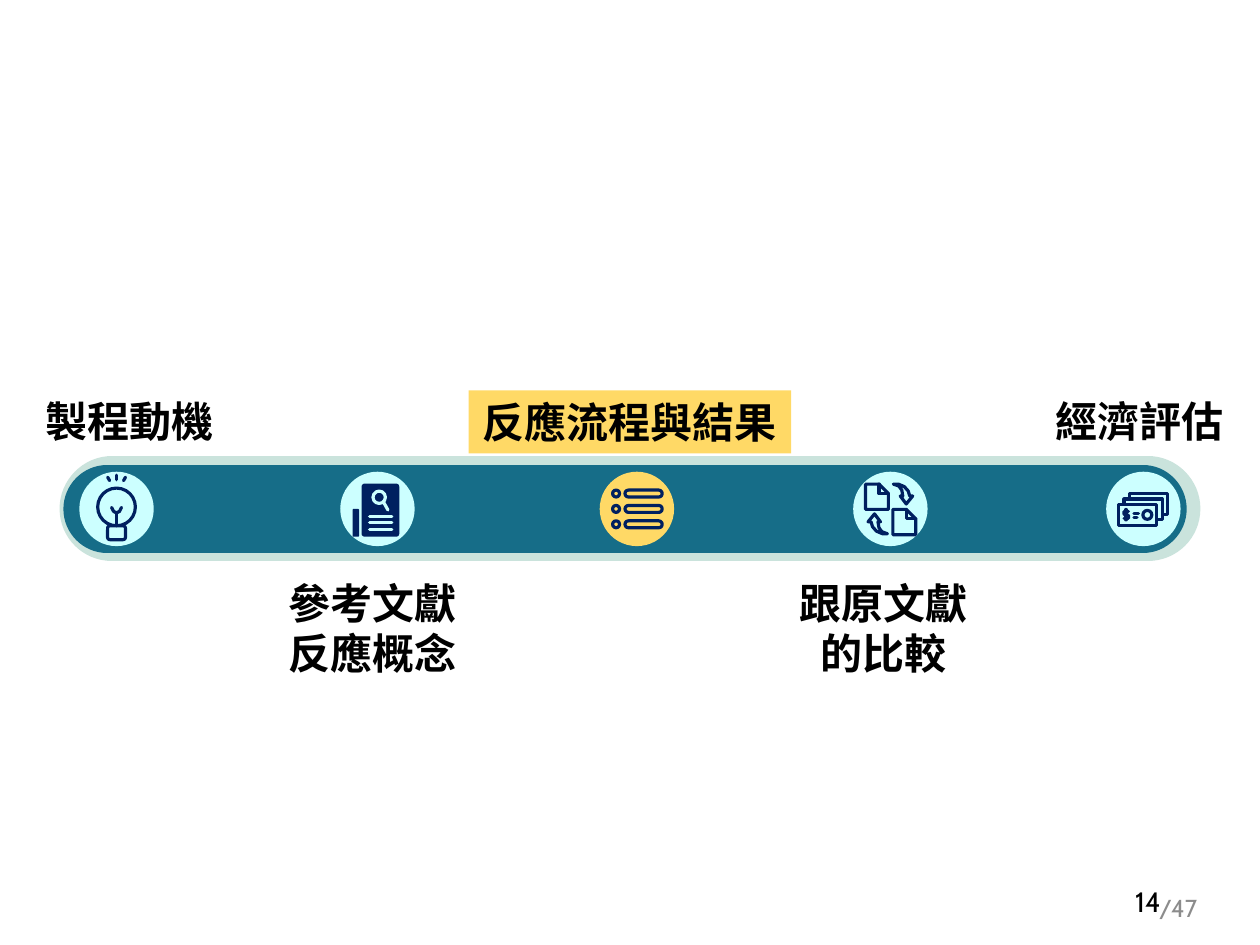
from pptx import Presentation
from pptx.dml.color import RGBColor
from pptx.enum.shapes import MSO_CONNECTOR as CONN, MSO_SHAPE as SHAPE
from pptx.enum.text import MSO_ANCHOR as ANCHOR, PP_ALIGN as ALIGN
from pptx.oxml.ns import qn
from pptx.oxml.xmlchemy import OxmlElement
from pptx.util import Cm, Pt

NAVY = RGBColor(0x00, 0x20, 0x60)
TEAL = RGBColor(0x16, 0x6D, 0x88)
MINT = RGBColor(0xCA, 0xE3, 0xDC)
ICE = RGBColor(0xCC, 0xFF, 0xFF)
YELLOW = RGBColor(0xFF, 0xD9, 0x66)
BLACK = RGBColor(0x00, 0x00, 0x00)
GREY = RGBColor(0x8C, 0x8C, 0x8C)

FONT = "Cabin"
AXIS_Y = 10.26
DISC = 1.5
STROKE = 1.8


def set_line(sp, color, width):
    """Give a shape or connector a line with round ends."""
    sp.line.color.rgb = color
    sp.line.width = Pt(width)
    sp._element.spPr.find(qn("a:ln")).set("cap", "rnd")


def paint(sp, fill, line, width=STROKE):
    sp.shadow.inherit = False
    if fill is None:
        sp.fill.background()
    else:
        sp.fill.solid()
        sp.fill.fore_color.rgb = fill
    if line is None:
        sp.line.fill.background()
    else:
        set_line(sp, line, width)


def add_shape(s, kind, x, y, w, h, fill=None, line=None):
    sp = s.shapes.add_shape(kind, Cm(x), Cm(y), Cm(w), Cm(h))
    paint(sp, fill, line)
    return sp


def add_line(s, x1, y1, x2, y2, color=NAVY, width=STROKE):
    c = s.shapes.add_connector(CONN.STRAIGHT, Cm(x1), Cm(y1), Cm(x2), Cm(y2))
    set_line(c, color, width)
    c._element.spPr.append(OxmlElement("a:effectLst"))


def add_outline(s, x, y, points, close=False):
    """Draw a navy path through points given relative to (x, y)."""
    pts = [(Cm(x + dx), Cm(y + dy)) for dx, dy in points]
    builder = s.shapes.build_freeform(*pts[0])
    builder.add_line_segments(pts[1:], close=close)
    paint(builder.convert_to_shape(), None, NAVY)


def write(sp, text, size, color=BLACK, bold=False, align=ALIGN.CENTER):
    tf = sp.text_frame
    tf.text = text
    tf.word_wrap = False
    for p in tf.paragraphs:
        p.alignment = align
        for r in p.runs:
            r.font.name = FONT
            r.font.size = Pt(size)
            r.font.bold = bold
            r.font.color.rgb = color
    return tf


def add_text(s, text, x, y, w, h, size, **style):
    return write(s.shapes.add_textbox(Cm(x), Cm(y), Cm(w), Cm(h)), text, size, **style)


def bulb_icon(s, x, y):
    add_shape(s, SHAPE.OVAL, x - 0.38, y - 0.42, 0.76, 0.76, line=NAVY)
    add_shape(s, SHAPE.ROUNDED_RECTANGLE, x - 0.18, y + 0.34, 0.36, 0.28, ICE, NAVY)
    add_line(s, x, y + 0.08, x, y + 0.34)
    add_outline(s, x, y, [(-0.1, -0.03), (-0.06, 0.05), (0, 0.08), (0.06, 0.05), (0.1, -0.03)])
    add_line(s, x, y - 0.68, x, y - 0.59)
    for side in (-1, 1):
        add_line(s, x + side * 0.18, y - 0.64, x + side * 0.14, y - 0.57)


def paper_icon(s, x, y):
    page = add_shape(s, SHAPE.ROUNDED_RECTANGLE, x - 0.32, y - 0.51, 0.76, 1.07, NAVY)
    page.adjustments[0] = 0.08
    add_shape(s, SHAPE.ROUNDED_RECTANGLE, x - 0.5, y, 0.13, 0.56, NAVY)
    add_shape(s, SHAPE.OVAL, x - 0.09, y - 0.36, 0.25, 0.25, line=ICE)
    add_line(s, x + 0.12, y - 0.14, x + 0.21, y + 0.02, ICE)
    for row in range(3):
        row_y = y + 0.15 + row * 0.13
        add_line(s, x - 0.16, row_y, x + 0.29, row_y, ICE)


def list_icon(s, x, y):
    for dy in (-0.31, 0, 0.31):
        add_shape(s, SHAPE.OVAL, x - 0.49, y + dy - 0.07, 0.14, 0.14, line=NAVY)
        bar = add_shape(s, SHAPE.ROUNDED_RECTANGLE, x - 0.24, y + dy - 0.07, 0.75, 0.14, line=NAVY)
        bar.adjustments[0] = 0.5


def compare_icon(s, x, y):
    page = [(0, 0), (0.27, 0), (0.46, 0.19), (0.46, 0.51), (0, 0.51)]
    fold = [(0.27, 0), (0.27, 0.19), (0.46, 0.19)]
    for dx, dy in ((-0.5, -0.5), (0.05, 0.01)):
        add_outline(s, x + dx, y + dy, page, close=True)
        add_outline(s, x + dx, y + dy, fold)
    arrow = [(0.06, -0.5), (0.16, -0.5), (0.28, -0.45), (0.36, -0.36), (0.39, -0.26),
             (0.45, -0.26), (0.32, -0.1), (0.2, -0.26), (0.25, -0.26), (0.23, -0.38),
             (0.17, -0.46)]
    for turn in (1, -1):
        add_outline(s, x, y, [(turn * dx, turn * dy) for dx, dy in arrow], close=True)


def money_icon(s, x, y):
    for step in (2, 1, 0):
        shift = step * 0.11
        add_shape(s, SHAPE.RECTANGLE, x - 0.5 + shift, y - 0.09 - shift, 0.77, 0.42, ICE, NAVY)
    add_shape(s, SHAPE.OVAL, x - 0.01, y + 0.03, 0.18, 0.18, line=NAVY)
    add_line(s, x - 0.19, y + 0.09, x - 0.1, y + 0.09)
    add_line(s, x - 0.19, y + 0.18, x - 0.13, y + 0.18)
    add_outline(s, x, y, [(-0.3, 0.05), (-0.39, 0.05), (-0.39, 0.11),
                          (-0.3, 0.13), (-0.3, 0.19), (-0.39, 0.19)])
    add_line(s, x - 0.35, y + 0.01, x - 0.35, y + 0.22)


def add_timeline(s):
    add_line(s, 2.26, AXIS_Y, 23.14, AXIS_Y, MINT, 60)
    add_line(s, 2.16, AXIS_Y, 23.04, AXIS_Y, TEAL, 50)
    stops = [(2.35, bulb_icon, ICE), (7.61, paper_icon, ICE), (12.84, list_icon, YELLOW),
             (17.95, compare_icon, ICE), (23.05, money_icon, ICE)]
    for x, draw_icon, color in stops:
        add_shape(s, SHAPE.OVAL, x - DISC / 2, AXIS_Y - DISC / 2, DISC, DISC, color)
        draw_icon(s, x, AXIS_Y)


def add_labels(s):
    labels = [("製程動機", 0.38, 7.85, 4.45, 1.27),
              ("參考文獻\n反應概念", 5.54, 11.51, 3.94, 2.31),
              ("跟原文獻\n的比較", 15.85, 11.51, 3.94, 2.31),
              ("經濟評估", 21.01, 7.85, 3.94, 1.27)]
    for text, *box in labels:
        add_text(s, text, *box, size=24, bold=True)
    current = add_shape(s, SHAPE.RECTANGLE, 9.45, 7.87, 6.5, 1.27, YELLOW)
    write(current, "反應流程與結果", 24, bold=True)


def add_page_number(s):
    total = add_text(s, "/47", 22.25, 17.78, 3, 1.02, 14, color=GREY)
    number = add_text(s, "14", 17.93, 17.65, 5.72, 1.02, 16, align=ALIGN.RIGHT)
    for tf in (total, number):
        tf.word_wrap = True
        tf.vertical_anchor = ANCHOR.MIDDLE


def main():
    prs = Presentation()
    prs.slide_width, prs.slide_height = Cm(25.4), Cm(19.05)
    s = prs.slides.add_slide(prs.slide_layouts[6])
    add_page_number(s)
    add_timeline(s)
    add_labels(s)
    prs.save("out.pptx")


if __name__ == "__main__":
    main()
